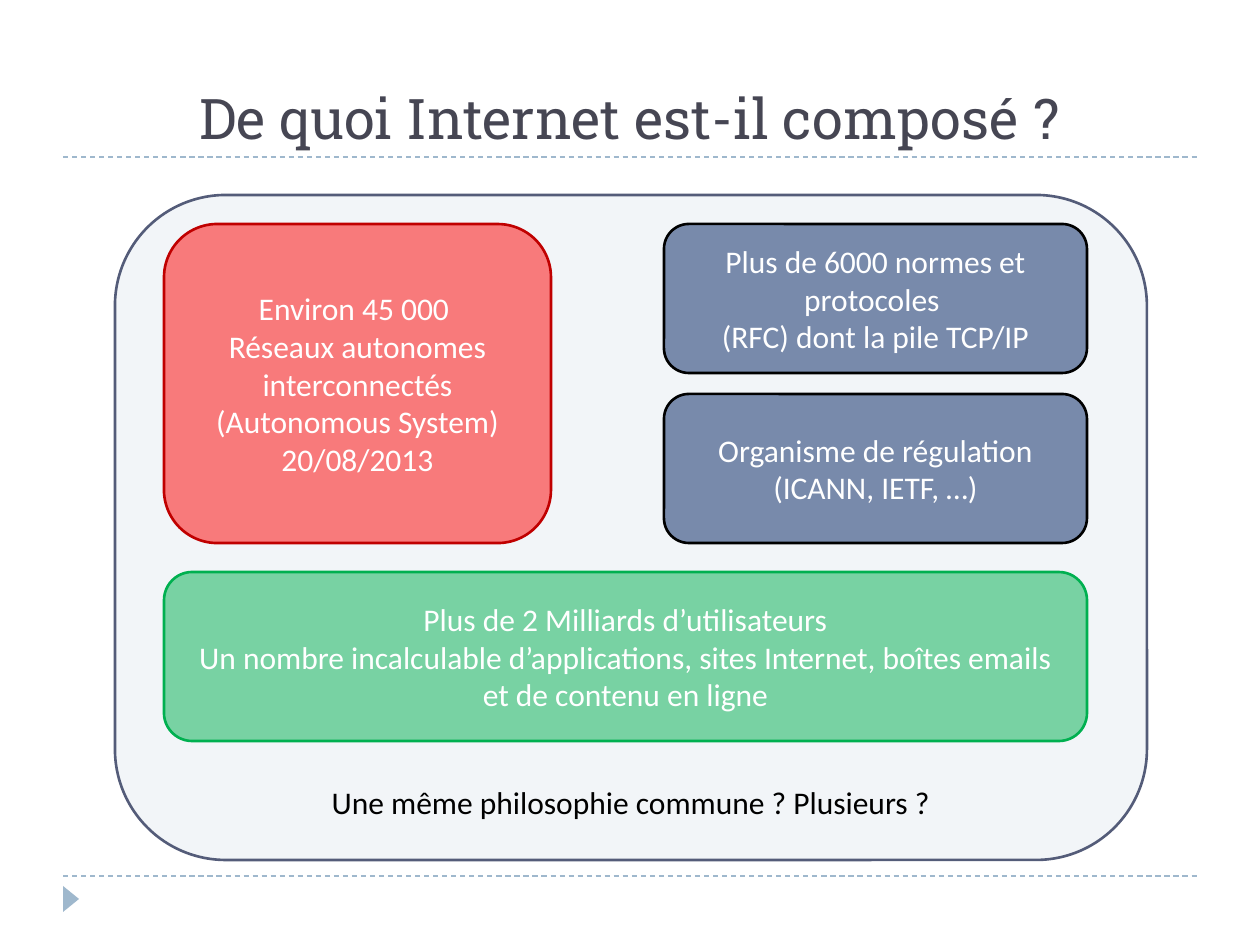
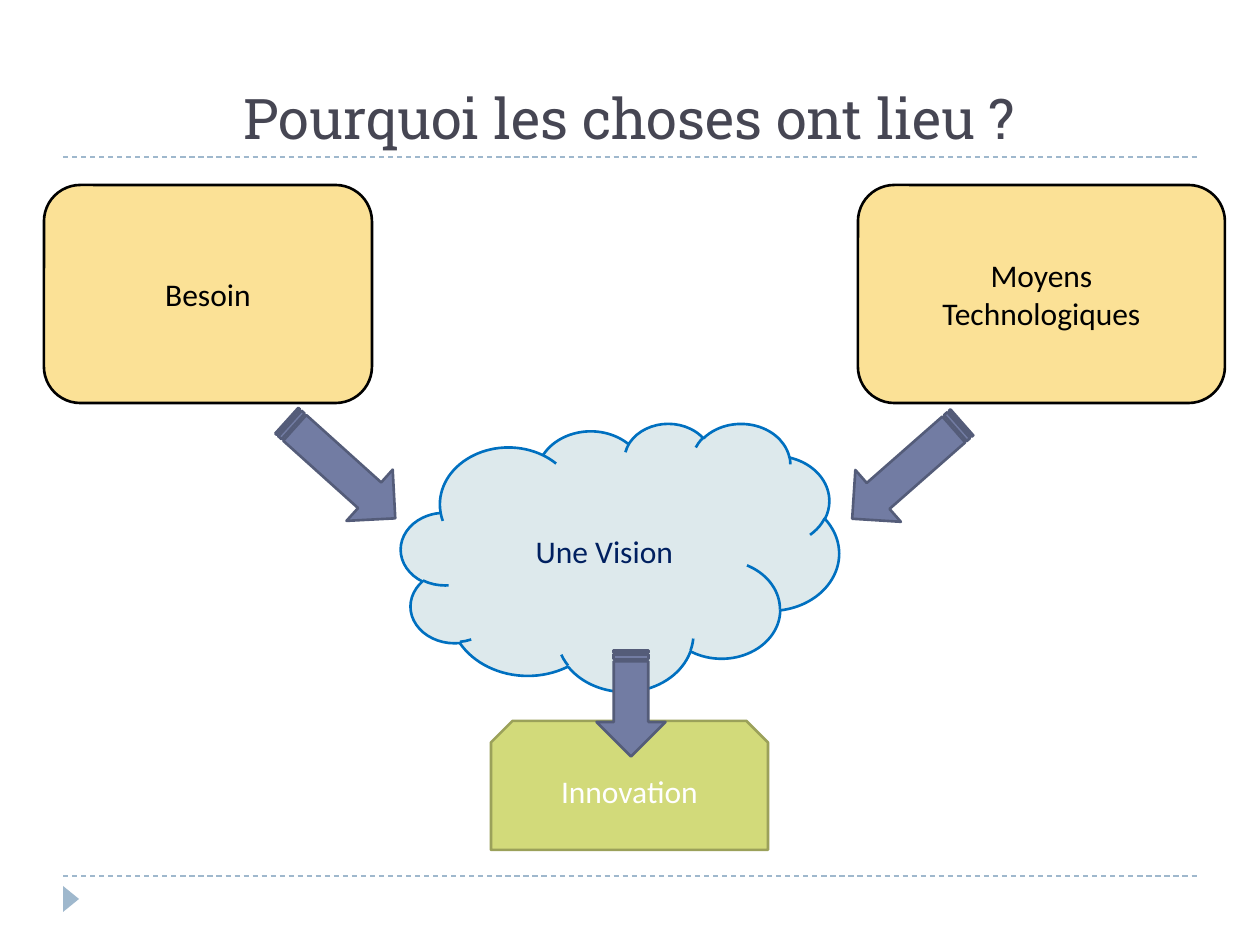
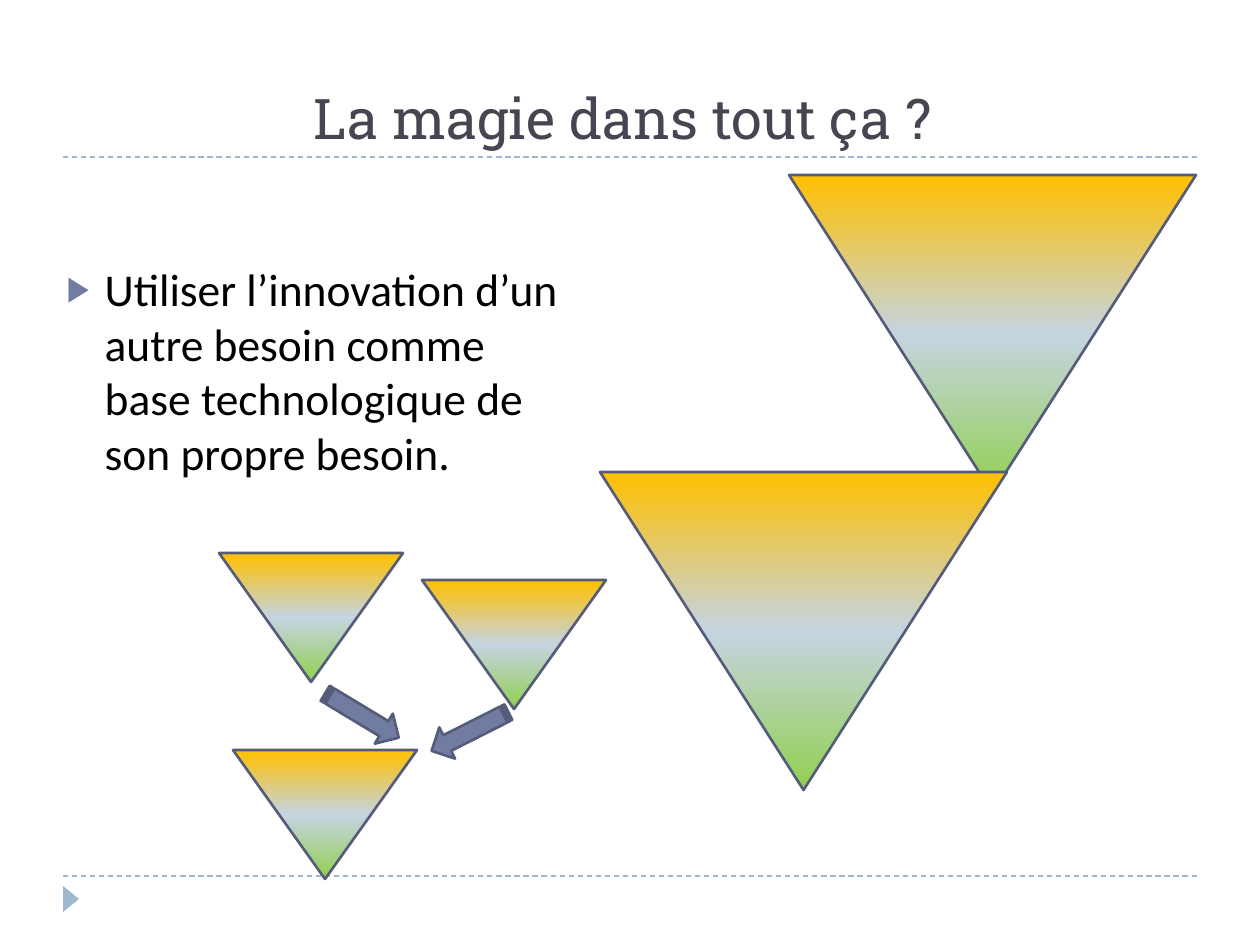
from copy import deepcopy
from dataclasses import dataclass

from lxml import etree
from pptx import Presentation
from pptx.dml.color import RGBColor
from pptx.enum.dml import MSO_LINE
from pptx.enum.shapes import MSO_CONNECTOR, MSO_SHAPE
from pptx.enum.text import MSO_ANCHOR, MSO_AUTO_SIZE, PP_ALIGN
from pptx.oxml.ns import qn
from pptx.util import Emu, Pt

ROUNDED = MSO_SHAPE.ROUNDED_RECTANGLE
CLOUD = MSO_SHAPE.CLOUD
SNIPPED = MSO_SHAPE.SNIP_2_SAME_RECTANGLE
ARROW = MSO_SHAPE.STRIPED_RIGHT_ARROW
TRIANGLE = MSO_SHAPE.ISOSCELES_TRIANGLE
MIDDLE, BOTTOM = MSO_ANCHOR.MIDDLE, MSO_ANCHOR.BOTTOM
CENTER, LEFT = PP_ALIGN.CENTER, PP_ALIGN.LEFT
TITLE_AND_BODY, TITLE_ONLY = 1, 5
EMU_PER_PX = 914400 / 126


@dataclass(frozen=True)
class Theme:
    title_font: str = "Roboto Slab"
    body_font: str = "Calibri"
    title_size: int = 32
    list_size: int = 26
    box_size: int = 18
    outline: float = 1.5
    rule_width: float = 0.75
    title: str = "464653"
    rule: str = "9FB8CD"
    accent: str = "727CA3"
    accent_dark: str = "545C79"
    panel: str = "D9E3EB"
    black: str = "000000"
    white: str = "FFFFFF"
    red: str = "FF0000"
    red_dark: str = "C00000"
    navy: str = "002060"
    green: str = "00B050"
    amber: str = "F7C120"
    sky: str = "DDE9EC"
    blue: str = "0070C0"
    lime: str = "D2DA7A"
    lime_dark: str = "9BA15A"
    pyramid: tuple = ("92D050", "C5D4E1", "FFC000")


THEME = Theme()

PAGE_SIZE = (1260, 945)
TITLE_AREA = (63, 21, 1134, 136)
RULE_SPAN = (63, 1197)
RULE_TOPS = (157, 876)
FOOTER_MARK = (58, 891, 26, 16)

COMPOSITION_TITLE = "De quoi Internet est-il composé ?"
PHILOSOPHY = ["Une même philosophie commune ? Plusieurs ?"]
NETWORKS = ["Environ 45 000 ", "Réseaux autonomes interconnectés (Autonomous System)", "20/08/2013"]
STANDARDS = ["Plus de 6000 normes et protocoles ", "(RFC) dont la pile TCP/IP"]
REGULATORS = ["Organisme de régulation", "(ICANN, IETF, …)"]
USERS = [
    "Plus de 2 Milliards d’utilisateurs",
    "Un nombre incalculable d’applications, sites Internet, boîtes emails et de contenu en ligne",
]

VISION_TITLE = "Pourquoi les choses ont lieu ?"
VISION_BOXES = [
    (ROUNDED, (44, 185, 328, 218), ["Besoin"], THEME.amber, THEME.black, THEME.black, 47),
    (ROUNDED, (858, 185, 367, 218), ["Moyens", "Technologiques"], THEME.amber, THEME.black, THEME.black, 47),
    (CLOUD, (401, 423, 438, 268), ["Une Vision"], THEME.sky, THEME.blue, THEME.navy, 100),
    (SNIPPED, (491, 721, 277, 129), ["Innovation"], THEME.lime, THEME.lime_dark, THEME.white, 100),
]
VISION_ARROWS = [
    ((268, 435, 146, 69), 42),
    ((834, 436, 146, 69), 138.7),
    ((578, 669, 106, 69), 90),
]

MAGIC_TITLE = "La magie dans tout ça ? "
MAGIC_LIST = ["Utiliser l’innovation d’un autre besoin comme base technologique de son propre besoin."]
MAGIC_LIST_AREA = (54, 255, 525, 357)
LARGE_PYRAMID, SMALL_PYRAMID = (407, 318), (184, 129)
LARGE_CORNERS = [(789, 175), (600, 472)]
SMALL_CORNERS = [(219, 553), (233, 750), (422, 580)]
MAGIC_ARROWS = [((319, 698, 86, 35), 31.1), ((427, 714, 86, 35), 153.2)]


def px(length):
    return Emu(round(length * EMU_PER_PX))


def rgb(colour):
    return RGBColor.from_string(colour)


def write(frame, lines, font, size, colour, align, anchor, bullets=False):
    frame.word_wrap = True
    frame.auto_size = MSO_AUTO_SIZE.NONE
    frame.vertical_anchor = anchor
    for index, line in enumerate(lines):
        para = frame.paragraphs[0] if index == 0 else frame.add_paragraph()
        para.text = line
        para.alignment = align
        if bullets:
            add_bullet(para)
        para.font.name = font
        para.font.size = Pt(size)
        para.font.color.rgb = rgb(colour)


def add_bullet(para):
    para.space_before = Pt(6)
    properties = para._p.get_or_add_pPr()
    properties.set("marL", str(px(38)))
    properties.set("indent", str(-px(38)))
    colour = etree.SubElement(properties, qn("a:buClr"))
    etree.SubElement(colour, qn("a:srgbClr"), val=THEME.accent)
    etree.SubElement(properties, qn("a:buSzPct"), val="76000")
    etree.SubElement(properties, qn("a:buChar"), char="▶")


def place(shape, area):
    shape.left, shape.top, shape.width, shape.height = map(px, area)


def add_outlined(page, kind, area, fill, line, opacity=100, rotation=0):
    shape = page.shapes.add_shape(kind, *map(px, area))
    shape.shadow.inherit = False
    shape.rotation = rotation
    shape.fill.solid()
    shape.fill.fore_color.rgb = rgb(fill)
    if opacity < 100:
        colour = shape.element.spPr.find(qn("a:solidFill"))[0]
        etree.SubElement(colour, qn("a:alpha"), val=str(opacity * 1000))
    shape.line.color.rgb = rgb(line)
    shape.line.width = Pt(THEME.outline)
    return shape


def add_box(page, kind, area, lines, fill, line, ink, opacity, anchor=MIDDLE):
    box = add_outlined(page, kind, area, fill, line, opacity)
    write(box.text_frame, lines, THEME.body_font, THEME.box_size, ink, CENTER, anchor)


def add_arrows(page, arrows):
    for area, rotation in arrows:
        add_outlined(page, ARROW, area, THEME.accent, THEME.accent_dark, rotation=rotation)


def add_pyramids(page, corners, size):
    for corner in corners:
        pyramid = add_outlined(page, TRIANGLE, corner + size, THEME.accent, THEME.accent_dark, rotation=180)
        pyramid.fill.gradient()
        pyramid.fill.gradient_angle = 270
        stops = pyramid.element.spPr.find(".//" + qn("a:gsLst"))
        stops.insert(1, deepcopy(stops[0]))
        for index, stop in enumerate(pyramid.fill.gradient_stops):
            stop.position = index / 2
            stop.color.rgb = rgb(THEME.pyramid[index])


def decorate_master(deck, page):
    parts = []
    left, right = RULE_SPAN
    for top in RULE_TOPS:
        rule = page.shapes.add_connector(MSO_CONNECTOR.STRAIGHT, px(left), px(top), px(right), px(top))
        rule.line.color.rgb = rgb(THEME.rule)
        rule.line.width = Pt(THEME.rule_width)
        rule.line.dash_style = MSO_LINE.DASH
        etree.SubElement(rule.element.spPr, qn("a:effectLst"))
        parts.append(rule)
    mark = add_outlined(page, TRIANGLE, FOOTER_MARK, THEME.rule, THEME.rule, rotation=90)
    mark.line.fill.background()
    parts.append(mark)
    tree = deck.slide_master.placeholders[0].element.getparent()
    for number, part in enumerate(parts, start=100):
        part.element.find(".//" + qn("p:cNvPr")).set("id", str(number))
        tree.append(part.element)


def add_page(deck, layout, title):
    page = deck.slides.add_slide(deck.slide_layouts[layout])
    heading = page.shapes.title
    place(heading, TITLE_AREA)
    write(heading.text_frame, [title], THEME.title_font, THEME.title_size, THEME.title, CENTER, BOTTOM)
    return page


def build_composition(deck):
    page = add_page(deck, TITLE_ONLY, COMPOSITION_TITLE)
    decorate_master(deck, page)
    left, right, top, bottom = 164, 1087, 224, 543
    column, row = 664, 149
    add_box(page, ROUNDED, (115, 195, 1032, 665), PHILOSOPHY,
            THEME.panel, THEME.accent_dark, THEME.black, 33, BOTTOM)
    boxes = [
        ((left, top, 387, bottom - top), NETWORKS, THEME.red, THEME.red_dark),
        ((column, top, right - column, row), STANDARDS, THEME.navy, THEME.black),
        ((left, 572, right - left, 169), USERS, THEME.green, THEME.green),
        ((column, bottom - row, right - column, row), REGULATORS, THEME.navy, THEME.black),
    ]
    for area, lines, fill, line in boxes:
        add_box(page, ROUNDED, area, lines, fill, line, THEME.white, 50)


def build_vision(deck):
    page = add_page(deck, TITLE_ONLY, VISION_TITLE)
    for box in VISION_BOXES:
        add_box(page, *box)
    add_arrows(page, VISION_ARROWS)


def build_magic(deck):
    page = add_page(deck, TITLE_AND_BODY, MAGIC_TITLE)
    add_pyramids(page, LARGE_CORNERS, LARGE_PYRAMID)
    body = page.placeholders[1]
    place(body, MAGIC_LIST_AREA)
    write(body.text_frame, MAGIC_LIST, THEME.body_font, THEME.list_size,
          THEME.black, LEFT, MSO_ANCHOR.TOP, bullets=True)
    add_pyramids(page, SMALL_CORNERS, SMALL_PYRAMID)
    add_arrows(page, MAGIC_ARROWS)


def main():
    deck = Presentation()
    deck.slide_width, deck.slide_height = map(px, PAGE_SIZE)
    build_composition(deck)
    build_vision(deck)
    build_magic(deck)
    deck.save("out.pptx")


if __name__ == "__main__":
    main()
